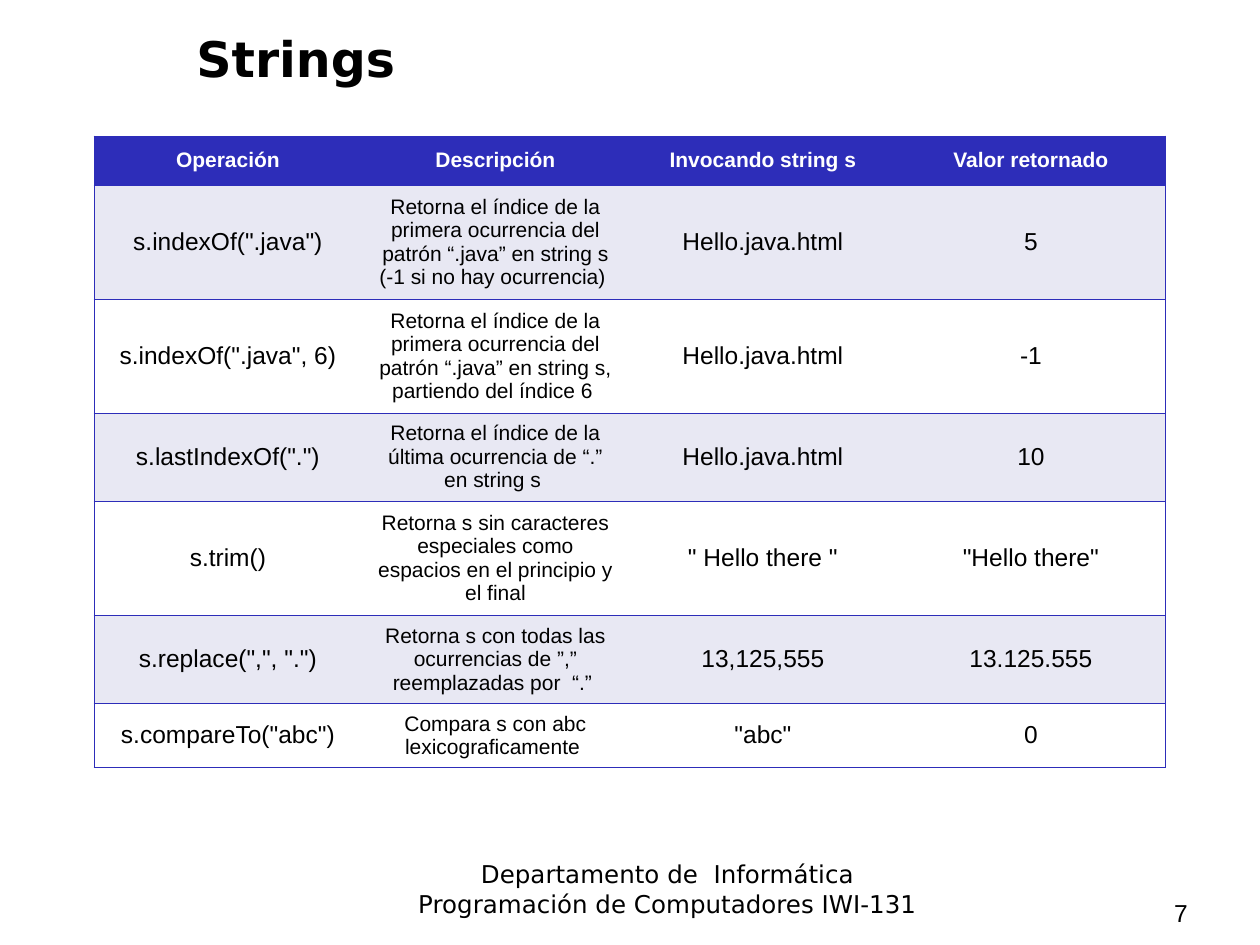
from dataclasses import dataclass

from lxml.etree import SubElement
from pptx import Presentation
from pptx.dml.color import RGBColor as Color
from pptx.enum.text import MSO_ANCHOR as Anchor, PP_ALIGN as Align
from pptx.oxml.ns import qn
from pptx.util import Emu, Pt


@dataclass(frozen=True)
class Theme:
    ink: str = "000000"
    accent: str = "2D2DB9"
    band: str = "E8E8F3"
    paper: str = "FFFFFF"
    heading_font: str = "DejaVu Sans"
    body_font: str = "Arial"
    title_size: int = 28
    text_size: int = 14
    small_size: int = 12
    border_width: float = 0.45


THEME = Theme()
EMU_PER_PX = 914400 / 126
SLIDE_SIZE = (1260, 945)

TEXT_BOXES = [
    {"lines": ["Departamento de  Informática", "Programación de Computadores IWI-131"],
     "place": (321, 853, 693, 72), "anchor": Anchor.TOP, "align": Align.CENTER,
     "font": {"name": THEME.heading_font, "size": THEME.text_size}},
    {"lines": ["Strings"],
     "place": (184, 10, 1052, 95), "anchor": Anchor.MIDDLE, "align": Align.LEFT,
     "font": {"name": THEME.heading_font, "size": THEME.title_size, "bold": True}},
    {"lines": ["7"],
     "place": (1102, 892, 158, 42), "anchor": Anchor.TOP, "align": Align.CENTER,
     "font": {"name": THEME.body_font, "size": THEME.text_size}},
]

OPERATIONS = [
    ("Operación", "Descripción", "Invocando string s", "Valor retornado"),
    ('s.indexOf(".java")',
     "Retorna el índice de la primera ocurrencia del patrón “.java” en string s (-1 si no hay ocurrencia) ",
     "Hello.java.html", "5"),
    ('s.indexOf(".java", 6)',
     "Retorna el índice de la primera ocurrencia del patrón “.java” en string s, partiendo del índice 6 ",
     "Hello.java.html", "-1"),
    ('s.lastIndexOf(".")',
     "Retorna el índice de la última ocurrencia de “.” en string s ",
     "Hello.java.html", "10"),
    ("s.trim()",
     "Retorna s sin caracteres especiales como espacios en el principio y el final",
     '" Hello there "', '"Hello there"'),
    ('s.replace(",", ".")',
     "Retorna s con todas las ocurrencias de ”,” reemplazadas por  “.” ",
     "13,125,555", "13.125.555"),
    ('s.compareTo("abc")', "Compara s con abc lexicograficamente ", '"abc"', "0"),
]
DESCRIPTION_COLUMN = 1
TABLE_ORIGIN = (94, 136)
COLUMN_WIDTHS = [268, 267, 268, 268]
ROW_HEIGHTS = [49, 114, 114, 88, 114, 88, 64]


def px(length):
    return Emu(round(length * EMU_PER_PX))


def style_paragraph(paragraph, align, size, color=THEME.ink, **font_values):
    paragraph.alignment = align
    for name, value in {"size": Pt(size), **font_values}.items():
        setattr(paragraph.font, name, value)
    paragraph.font.color.rgb = Color.from_string(color)


def add_text(slide, box):
    frame = slide.shapes.add_textbox(*map(px, box["place"])).text_frame
    frame.word_wrap = True
    frame.vertical_anchor = box["anchor"]
    frame.text = "\n".join(box["lines"])
    for paragraph in frame.paragraphs:
        style_paragraph(paragraph, box["align"], **box["font"])


def set_borders(cell, visible):
    properties = cell._tc.get_or_add_tcPr()
    for side in "LRTB":
        line = SubElement(properties, qn(f"a:ln{side}"), w=str(Pt(THEME.border_width)))
        if side in visible:
            fill = SubElement(line, qn("a:solidFill"))
            SubElement(fill, qn("a:srgbClr"), val=THEME.accent)
        else:
            SubElement(line, qn("a:noFill"))


def format_cell(cell, row, column):
    header = row == 0
    small = header or column == DESCRIPTION_COLUMN
    outer_sides = {0: "L", len(COLUMN_WIDTHS) - 1: "R"}
    set_borders(cell, "TB" + outer_sides.get(column, ""))
    cell.fill.solid()
    fill = THEME.accent if header else THEME.band if row % 2 else THEME.paper
    cell.fill.fore_color.rgb = Color.from_string(fill)
    cell.vertical_anchor = Anchor.MIDDLE
    cell.text = OPERATIONS[row][column]
    style_paragraph(cell.text_frame.paragraphs[0], Align.CENTER,
                    THEME.small_size if small else THEME.text_size,
                    THEME.paper if header else THEME.ink,
                    name=THEME.body_font, bold=header)


def add_operations_table(slide):
    place = (*TABLE_ORIGIN, sum(COLUMN_WIDTHS), sum(ROW_HEIGHTS))
    table = slide.shapes.add_table(len(ROW_HEIGHTS), len(COLUMN_WIDTHS), *map(px, place)).table
    table.first_row = table.horz_banding = False
    for column, width in zip(table.columns, COLUMN_WIDTHS):
        column.width = px(width)
    for row, height in zip(table.rows, ROW_HEIGHTS):
        row.height = px(height)
    for row in range(len(ROW_HEIGHTS)):
        for column in range(len(COLUMN_WIDTHS)):
            format_cell(table.cell(row, column), row, column)


def main():
    presentation = Presentation()
    presentation.slide_width, presentation.slide_height = map(px, SLIDE_SIZE)
    slide = presentation.slides.add_slide(presentation.slide_layouts[6])
    for box in TEXT_BOXES:
        add_text(slide, box)
    add_operations_table(slide)
    presentation.save("out.pptx")


if __name__ == "__main__":
    main()
